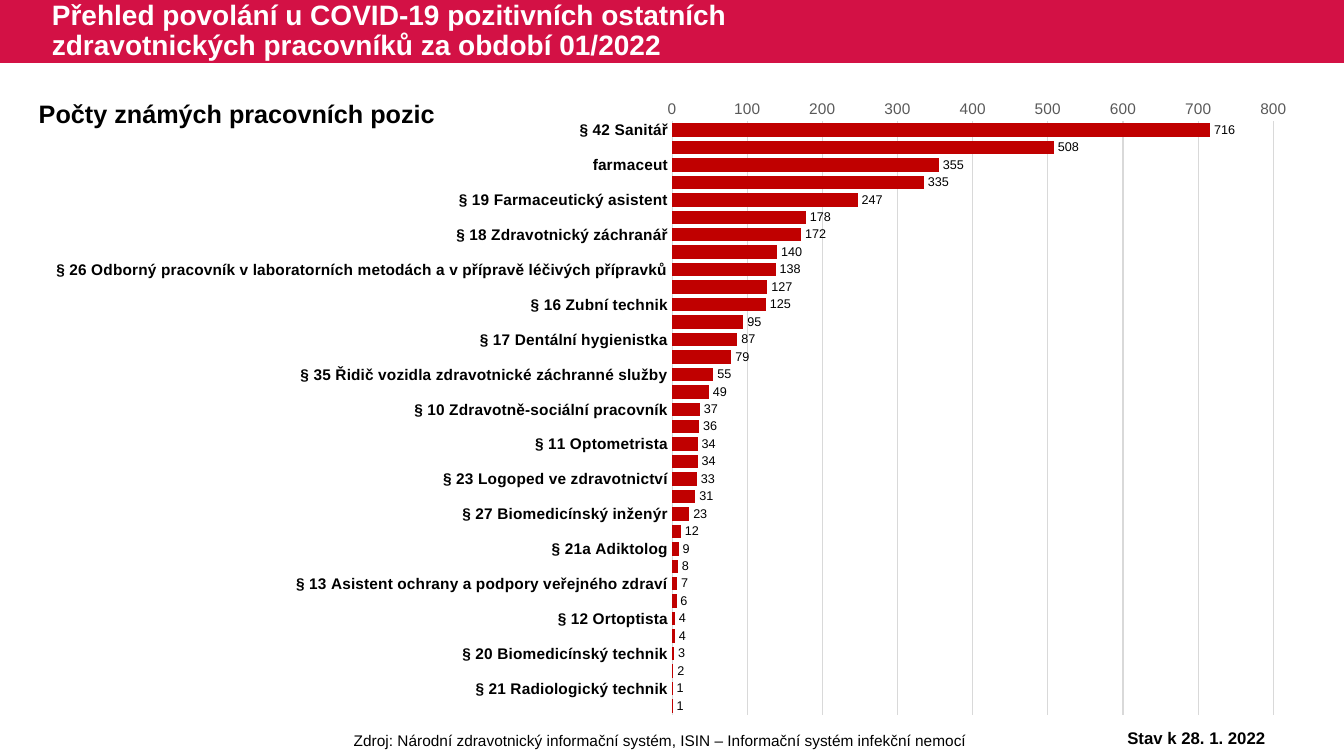
from pptx import Presentation
from pptx.chart.data import CategoryChartData
from pptx.dml.color import RGBColor
from pptx.enum.chart import XL_CHART_TYPE as Kind
from pptx.enum.chart import XL_LABEL_POSITION as Spot
from pptx.enum.chart import XL_TICK_MARK as Tick
from pptx.enum.shapes import MSO_SHAPE as Form
from pptx.enum.text import MSO_ANCHOR as Anchor
from pptx.enum.text import PP_ALIGN as Align
from pptx.oxml import parse_xml
from pptx.oxml.ns import nsdecls, qn
from pptx.util import Pt

BLACK = RGBColor(0x00, 0x00, 0x00)
WHITE = RGBColor(0xFF, 0xFF, 0xFF)
GRAY = RGBColor(0x59, 0x59, 0x59)
PALE = RGBColor(0xD9, 0xD9, 0xD9)
CRIMSON = RGBColor(0xD3, 0x11, 0x45)
RED = RGBColor(0xC0, 0x00, 0x00)

JOBS = [
    ("§ 42 Sanitář", 716),
    ("§ 24 Fyzioterapeut", 508),
    ("farmaceut", 355),
    ("§ 9 Zdravotní laborant", 335),
    ("§ 19 Farmaceutický asistent", 247),
    ("§ 39 Zubní instrumentářka", 178),
    ("§ 18 Zdravotnický záchranář", 172),
    ("§ 36 Ošetřovatel", 140),
    ("§ 26 Odborný pracovník v laboratorních metodách a v přípravě léčivých přípravků", 138),
    ("§ 8 Radiologický asistent", 127),
    ("§ 16 Zubní technik", 125),
    ("§ 22 Psycholog ve zdravotnictví", 95),
    ("§ 17 Dentální hygienistka", 87),
    ("§ 40 Řidič zdravotnické dopravní služby", 79),
    ("§ 35 Řidič vozidla zdravotnické záchranné služby", 55),
    ("§ 7 Ergoterapeut", 49),
    ("§ 10 Zdravotně-sociální pracovník", 37),
    ("§ 30 Laboratorní asistent", 36),
    ("§ 11 Optometrista", 34),
    ("§ 37 Masér ve zdravotnictví, nevidomý a slabozraký masér ve zdravotnictví", 34),
    ("§ 23 Logoped ve zdravotnictví", 33),
    ("§ 15 Nutriční terapeut", 31),
    ("§ 27 Biomedicínský inženýr", 23),
    ("§ 33 Asistent zubního technika", 12),
    ("§ 21a Adiktolog", 9),
    ("§ 28 Odborný pracovník v ochraně a podpoře veřejného zdraví", 8),
    ("§ 13 Asistent ochrany a podpory veřejného zdraví", 7),
    ("§ 25 Radiologický fyzik", 6),
    ("§ 12 Ortoptista", 4),
    ("§ 14 Ortotik-protetik", 4),
    ("§ 20 Biomedicínský technik", 3),
    ("§ 31 Ortoticko-protetický technik", 2),
    ("§ 21 Radiologický technik", 1),
    ("§ 41 Autoptický laborant", 1),
]


class Page:
    """Holds the style and the current slide."""

    face = "Arial"

    def __init__(self, deck):
        self.slide = deck.slides.add_slide(deck.slide_layouts[6])
        self.shapes = self.slide.shapes

    def style(self, font, size, color, bold=False):
        font.name = self.face
        font.size = Pt(size)
        font.bold = bold
        font.color.rgb = color

    def band(self, box, color):
        band = self.shapes.add_shape(Form.RECTANGLE, *map(Pt, box))
        band.shadow.inherit = False
        band.fill.solid()
        band.fill.fore_color.rgb = color
        band.line.fill.background()

    def text(self, box, words, size, color=BLACK, bold=False, align=Align.LEFT,
             anchor=Anchor.TOP, wrap=True, pitch=None):
        frame = self.shapes.add_textbox(*map(Pt, box)).text_frame
        frame.word_wrap = wrap
        frame.vertical_anchor = anchor
        para = frame.paragraphs[0]
        para.alignment = align
        if pitch:
            para.line_spacing = pitch
        run = para.add_run()
        run.text = words
        self.style(run.font, size, color, bold)

    def bars(self, box, rows, area):
        data = CategoryChartData()
        data.categories = [name for name, _ in rows]
        data.add_series("Počet", [count for _, count in rows])
        chart = self.shapes.add_chart(Kind.BAR_CLUSTERED, *map(Pt, box), data).chart
        chart.has_legend = False
        chart.has_title = False
        self.style(chart.font, 10, BLACK)

        # Bars and their values
        plot = chart.plots[0]
        plot.gap_width = 30
        plot.overlap = 100
        plot.vary_by_categories = False
        fill = plot.series[0].format.fill
        fill.solid()
        fill.fore_color.rgb = RED
        plot.has_data_labels = True
        labels = plot.data_labels
        labels.show_value = True
        labels.position = Spot.OUTSIDE_END
        self.style(labels.font, 9, BLACK)

        # Job axis, first job on top, every other name shown
        jobs = chart.category_axis
        jobs.reverse_order = True
        jobs.major_tick_mark = jobs.minor_tick_mark = Tick.NONE
        jobs.format.line.color.rgb = PALE
        jobs.format.line.width = Pt(0.75)
        self.style(jobs.tick_labels.font, 11, BLACK, True)
        skip = parse_xml(f'<c:tickLblSkip {nsdecls("c")} val="2"/>')
        jobs._element.find(qn("c:noMultiLvlLbl")).addprevious(skip)

        # Count axis
        count = chart.value_axis
        count.minimum_scale, count.maximum_scale, count.major_unit = 0, 800, 100
        count.major_tick_mark = count.minor_tick_mark = Tick.NONE
        count.format.line.fill.background()
        count.has_major_gridlines = True
        grid = count.major_gridlines.format.line
        grid.color.rgb = PALE
        grid.width = Pt(0.75)
        self.style(count.tick_labels.font, 11, GRAY)

        # Fixed inner plot area
        modes = "".join(f'<c:{k}Mode val="edge"/>' for k in "xy")
        sides = "".join(f'<c:{k} val="{v}"/>' for k, v in zip("xywh", area))
        layout = parse_xml(
            f'<c:layout {nsdecls("c")}><c:manualLayout><c:layoutTarget val="inner"/>'
            f"{modes}{sides}</c:manualLayout></c:layout>")
        home = chart._chartSpace.chart.plotArea
        for old in home.findall(qn("c:layout")):
            home.remove(old)
        home.insert(0, layout)


def main():
    deck = Presentation()
    deck.slide_width, deck.slide_height = Pt(960), Pt(540)
    page = Page(deck)

    # Header
    page.band((0, 0, 960, 45), CRIMSON)

    # Chart of job counts
    page.bars((2.9, 57.6, 933.8, 462.2), JOBS, (0.511, 0.063, 0.46, 0.917))

    # Source, title, subtitle and date
    page.text((170, 518.4, 603.4, 20.6),
              "Zdroj: Národní zdravotnický informační systém, ISIN – Informační systém infekční nemocí",
              11, align=Align.CENTER)
    page.text((30, 0, 595, 45),
              "Přehled povolání u COVID-19 pozitivních ostatních zdravotnických pracovníků za období 01/2022",
              20, WHITE, True, anchor=Anchor.MIDDLE, pitch=0.9)
    page.text((20.6, 67, 299.5, 29), "Počty známých pracovních pozic", 18,
              bold=True, wrap=False)
    page.text((775.4, 516.2, 158.4, 21.8), "Stav k 28. 1. 2022", 12,
              bold=True, align=Align.CENTER)

    deck.save("out.pptx")


if __name__ == "__main__":
    main()
